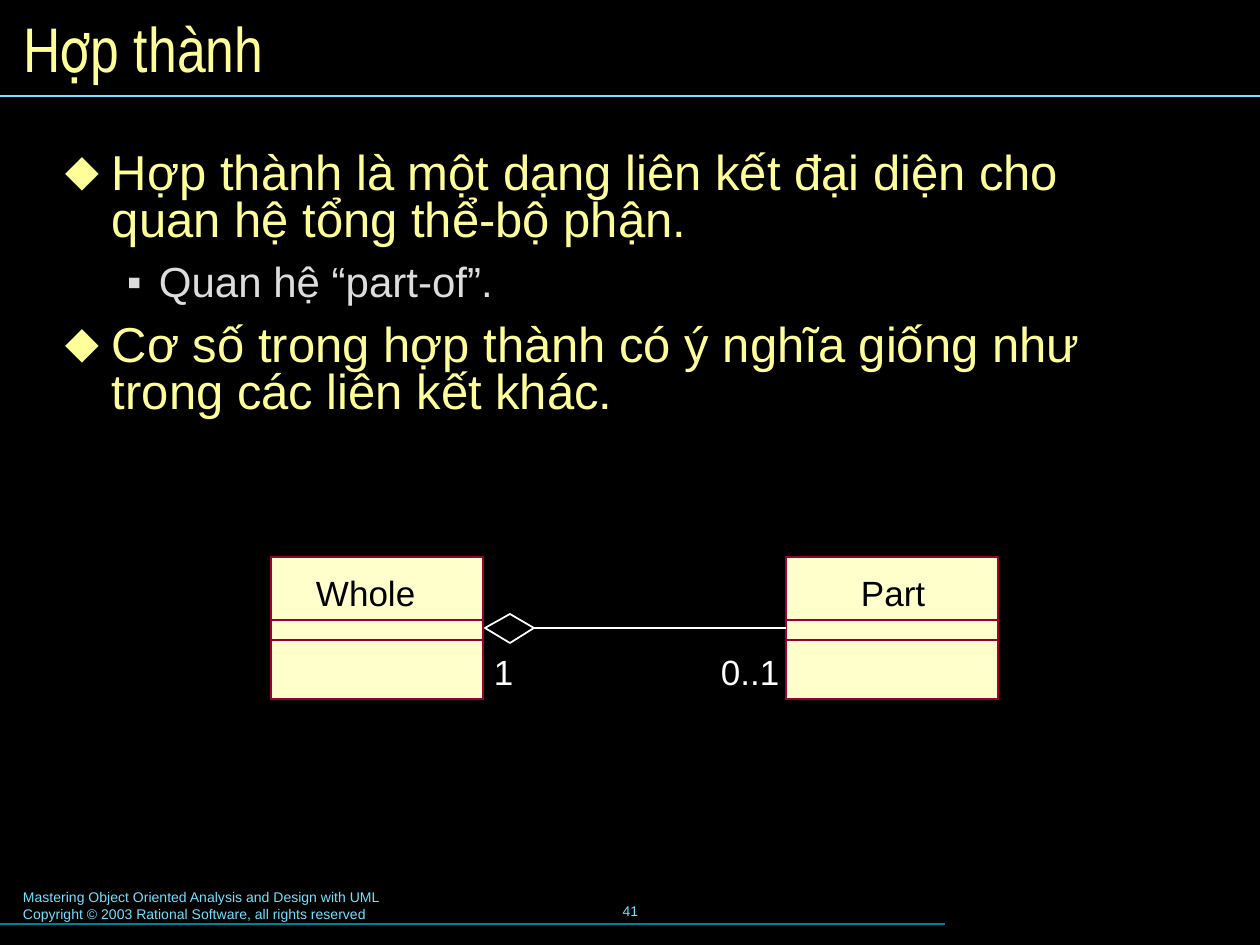
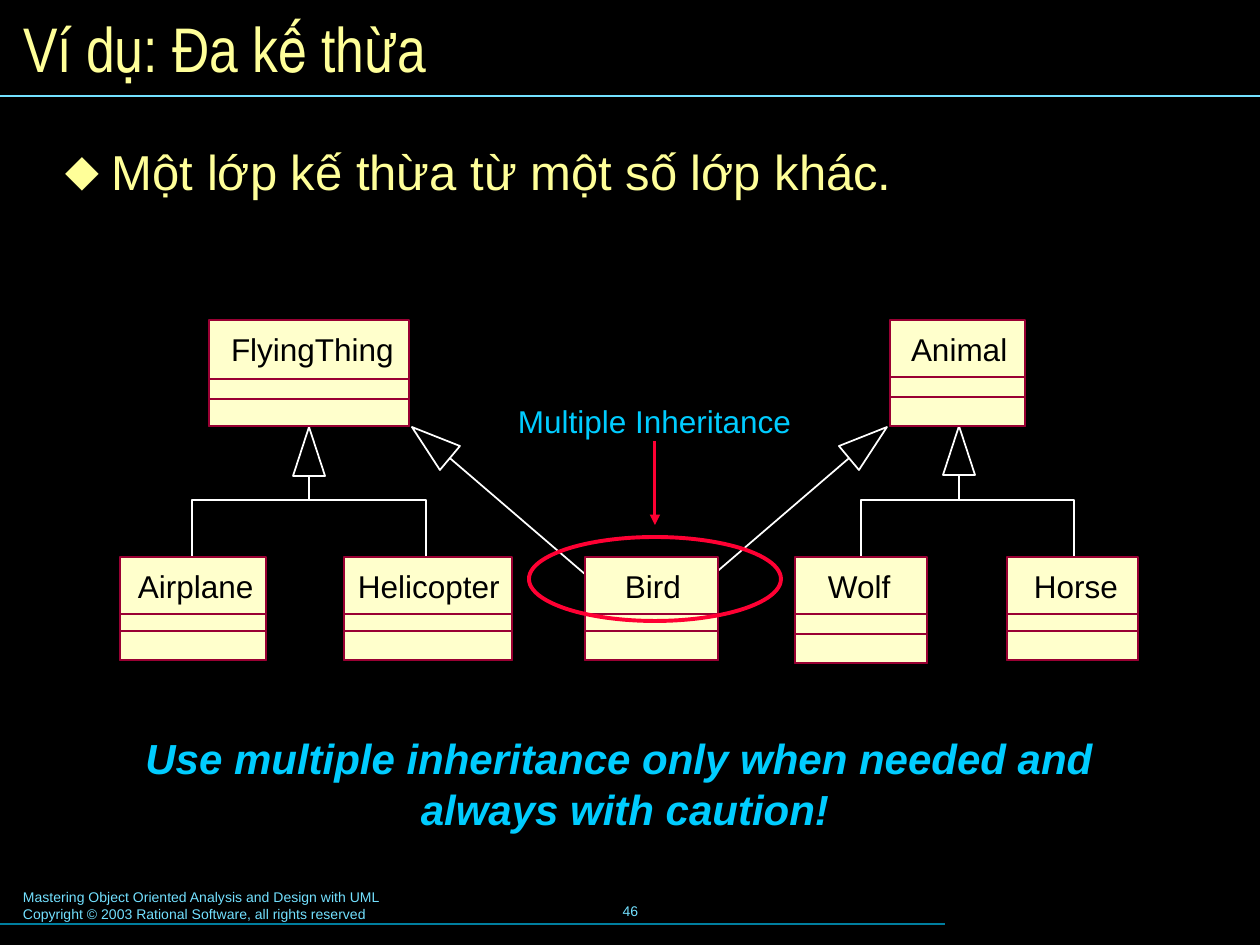
import math

import pptx
import pptx.util
import pptx.dml.color
import pptx.enum.shapes
import pptx.enum.text
import pptx.oxml
import pptx.oxml.ns

PX = 914400 / 126
ALIGN = pptx.enum.text.PP_ALIGN
ANCHOR = pptx.enum.text.MSO_ANCHOR
AUTO = pptx.enum.text.MSO_AUTO_SIZE
SHAPE = pptx.enum.shapes.MSO_SHAPE
STRAIGHT = pptx.enum.shapes.MSO_CONNECTOR.STRAIGHT

COLORS = {
    "background": "000000", "heading": "FFFF99", "detail": "DDDDDD",
    "footer": "73E1FF", "footer_rule": "007E9F", "class_fill": "FFFFCC",
    "class_line": "990033", "class_name": "000000", "relation": "FFFFFF",
    "note": "00CCFF", "highlight": "FF0033",
}
FOOTER = ["Mastering Object Oriented Analysis and Design with UML",
          "Copyright © 2003 Rational Software, all rights reserved"]
LEVELS = [
    dict(size=28, color="heading", bullet="⬥", margin=47, indent=-47, spacing=0.8, before=10.5),
    dict(size=24, color="detail", bullet="▪", margin=94, indent=-32, spacing=0.87, before=9),
]

COMPOSITION = dict(
    title="Hợp thành", number="41", body_box=(50, 145, 1134, 394),
    bullets=[
        (0, "Hợp thành là một dạng liên kết đại diện cho quan hệ tổng thể-bộ phận."),
        (1, "Quan hệ “part-of”."),
        (0, "Cơ số trong hợp thành có ý nghĩa giống như trong các liên kết khác."),
    ])
INHERITANCE = dict(
    title="Ví dụ: Đa kế thừa", number="46", body_box=(50, 145, 1157, 287),
    bullets=[(0, "Một lớp kế thừa từ một số lớp khác.")])

WHOLE_PART = [
    dict(name="Whole", box=(271, 557, 212, 142), offsets=(63, 83), name_left=316, name_width=108),
    dict(name="Part", box=(786, 557, 212, 142), offsets=(63, 83), name_left=861, name_width=74),
]
MULTIPLICITIES = [("1", (494, 650, 28, 42)), ("0..1", (721, 650, 66, 42))]
DIAMOND = [(485, 628), (510, 643), (534, 628), (510, 614)]

FAMILY = [
    dict(name="FlyingThing", box=(209, 320, 200, 106), offsets=(59, 79), name_left=231, name_width=172),
    dict(name="Animal", box=(890, 320, 135, 106), offsets=(57, 77), name_left=911, name_width=106),
    dict(name="Horse", box=(1007, 557, 131, 103), offsets=(57, 74), name_left=1034, name_width=94),
    dict(name="Wolf", box=(795, 557, 132, 106), offsets=(57, 77), name_left=828, name_width=73),
    dict(name="Bird", box=(585, 557, 133, 103), offsets=(57, 74), name_left=625, name_width=67),
    dict(name="Helicopter", box=(344, 557, 168, 103), offsets=(57, 74), name_left=358, name_width=151),
    dict(name="Airplane", box=(120, 557, 146, 103), offsets=(57, 74), name_left=138, name_width=125),
]
BRANCHES = [(192, 426), (861, 1074)]
BRANCH_TOP, BRANCH_BOTTOM = 500, 568
GENERALIZATIONS = [
    dict(tip=(309, 427), heading=0, tail=(309, BRANCH_TOP)),
    dict(tip=(412, 427), heading=309.4, tail=(586, 575)),
    dict(tip=(887, 427), heading=50.6, tail=(713, 575)),
    dict(tip=(959, 426), heading=0, tail=(959, BRANCH_TOP)),
]
ARROW_LENGTH, ARROW_HALF = 49, 16
CAUTION = ["Use multiple inheritance only when needed and ", "always with caution!"]


def px(*values):
    return [pptx.util.Emu(round(v * PX)) for v in values]


def rgb(name):
    return pptx.dml.color.RGBColor.from_string(COLORS[name])


def set_font(p, size, color, name="Arial", bold=False, italic=False):
    for r in p.runs:
        r.font.name, r.font.size = name, pptx.util.Pt(size)
        r.font.color.rgb = rgb(color)
        r.font.bold, r.font.italic = bold, italic


def set_insets(tf, x, y):
    tf.margin_left = tf.margin_right = px(x)[0]
    tf.margin_top = tf.margin_bottom = px(y)[0]


def place(sp, box):
    sp.left, sp.top, sp.width, sp.height = px(*box)


def add_text(s, lines, box, size, color, align=ALIGN.LEFT, insets=(0, 0),
             anchor=ANCHOR.TOP, **style):
    tf = s.shapes.add_textbox(*px(*box)).text_frame
    tf.text = "\n".join(lines)
    tf.word_wrap, tf.vertical_anchor = True, anchor
    tf.auto_size = AUTO.NONE
    set_insets(tf, *insets)
    for p in tf.paragraphs:
        p.alignment = align
        set_font(p, size, color, **style)


def style_shape(sp, line, width=1, fill=None):
    sp.shadow.inherit = False
    if fill:
        sp.fill.solid()
        sp.fill.fore_color.rgb = rgb(fill)
    else:
        sp.fill.background()
    sp.line.color.rgb = rgb(line)
    sp.line.width = pptx.util.Pt(width)
    return sp


def add_line(s, start, end, color, width=1, arrow=False):
    c = s.shapes.add_connector(STRAIGHT, *px(*start, *end))
    c.line.color.rgb = rgb(color)
    c.line.width = pptx.util.Pt(width)
    props = c.element.spPr
    if arrow:
        tail = pptx.oxml.ns.qn("a:tailEnd")
        ln = props.find(pptx.oxml.ns.qn("a:ln"))
        ln.append(ln.makeelement(tail, {"type": "triangle"}))
    props.append(props.makeelement(pptx.oxml.ns.qn("a:effectLst"), {}))
    return c


def add_outline(s, points, close=True):
    builder = s.shapes.build_freeform(*points[0], scale=PX)
    builder.add_line_segments(points[1:], close=close)
    style_shape(builder.convert_to_shape(), "relation")


def add_class(s, name, box, offsets, name_left, name_width, size, name_drop):
    x, y, w, h = box
    parts = []
    for offset in (0, *offsets):
        sp = s.shapes.add_shape(SHAPE.RECTANGLE, *px(x, y + offset, w, h - offset))
        parts.append(style_shape(sp, "class_line", fill="class_fill"))
    add_text(s, [name], (name_left, y + name_drop, name_width, size * 2.1), size, "class_name")
    return parts[0]


def add_generalization(s, tip, heading, tail):
    a = math.radians(heading)
    base = [tip[0] - ARROW_LENGTH * math.sin(a), tip[1] + ARROW_LENGTH * math.cos(a)]
    dx, dy = ARROW_HALF * math.cos(a), ARROW_HALF * math.sin(a)
    add_outline(s, [tip, (base[0] + dx, base[1] + dy), (base[0] - dx, base[1] - dy)])
    add_line(s, base, tail, "relation")


def set_bullet(p, level):
    props = p._p.get_or_add_pPr()
    props.set("marL", str(px(level["margin"])[0]))
    props.set("indent", str(px(level["indent"])[0]))
    ns = pptx.oxml.ns.nsdecls("a")
    for xml in (f'<a:buClr {ns}><a:srgbClr val="{COLORS[level["color"]]}"/></a:buClr>',
                f'<a:buFont {ns} typeface="Arial"/>',
                f'<a:buChar {ns} char="{level["bullet"]}"/>'):
        props.append(pptx.oxml.parse_xml(xml))


def add_slide(prs, content):
    s = prs.slides.add_slide(prs.slide_layouts[1])
    title, body = s.placeholders
    place(title, (10, 11, 1240, 73))
    tf = title.text_frame
    tf.text = content["title"]
    tf.vertical_anchor, tf.auto_size = ANCHOR.MIDDLE, AUTO.NONE
    set_insets(tf, 13, 6)
    tf.paragraphs[0].alignment = ALIGN.LEFT
    set_font(tf.paragraphs[0], 36, "heading", "Arial Narrow")

    place(body, content["body_box"])
    tf = body.text_frame
    tf.text = "\n".join(text for _, text in content["bullets"])
    tf.auto_size = AUTO.NONE
    set_insets(tf, 15, 8)
    for i, (p, (depth, _)) in enumerate(zip(tf.paragraphs, content["bullets"])):
        level = LEVELS[depth]
        p.level = depth
        set_bullet(p, level)
        p.line_spacing = level["spacing"]
        p.space_before = pptx.util.Pt(level["before"] if i else 0)
        set_font(p, level["size"], level["color"])

    add_text(s, FOOTER, (10, 883, 643, 47), 8, "footer", insets=(13, 6))
    add_text(s, [content["number"]], (431, 879, 399, 63), 8, "footer", ALIGN.CENTER,
             (13, 6), anchor=ANCHOR.MIDDLE)
    add_line(s, (0, 924), (945, 924), "footer_rule", 0.75)
    add_line(s, (0, 96), (1260, 96), "footer", 0.75)
    return s


def build_composition(prs):
    s = add_slide(prs, COMPOSITION)
    boxes = {item["name"]: add_class(s, **item, size=20, name_drop=14) for item in WHOLE_PART}
    link = add_line(s, (786, 628), DIAMOND[2], "relation")
    link.begin_connect(boxes["Part"], 1)
    add_outline(s, DIAMOND)
    for label, box in MULTIPLICITIES:
        add_text(s, [label], box, 20, "relation")


def build_inheritance(prs):
    s = add_slide(prs, INHERITANCE)
    for generalization in GENERALIZATIONS:
        add_generalization(s, **generalization)
    for left, right in BRANCHES:
        add_outline(s, [(left, BRANCH_BOTTOM), (left, BRANCH_TOP),
                        (right, BRANCH_TOP), (right, BRANCH_BOTTOM)], close=False)
    for item in FAMILY:
        add_class(s, **item, size=18, name_drop=10)
    ring = s.shapes.add_shape(SHAPE.OVAL, *px(529, 537, 252, 84))
    style_shape(ring, "highlight", 2.25)
    add_text(s, ["Multiple Inheritance"], (503, 394, 320, 53), 18, "note", insets=(15, 8))
    add_line(s, (655, 441), (655, 525), "highlight", 1.75, arrow=True)
    add_text(s, CAUTION, (53, 727, 1144, 113), 24, "note", ALIGN.CENTER, (13, 6),
             bold=True, italic=True)


def main():
    prs = pptx.Presentation()
    prs.slide_width, prs.slide_height = px(1260, 945)
    fill = prs.slide_master.background.fill
    fill.solid()
    fill.fore_color.rgb = rgb("background")
    build_composition(prs)
    build_inheritance(prs)
    prs.save("out.pptx")


if __name__ == "__main__":
    main()
